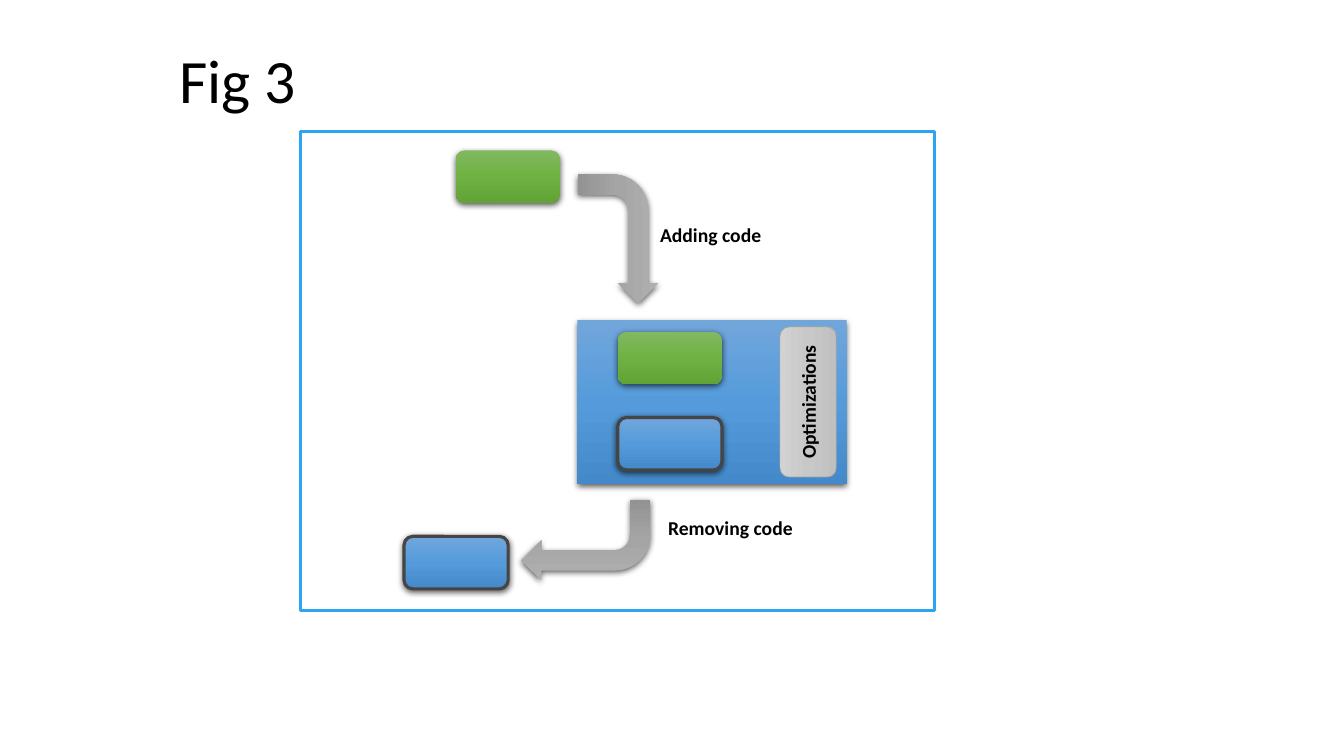
"""Builds the Fig 3 slide: code added to and removed from an optimized block."""
import copy

import lxml.etree
import pptx
import pptx.dml.color
import pptx.enum.shapes
import pptx.enum.text
import pptx.oxml.ns
import pptx.util

COLORS = {
    "white": "FFFFFF", "black": "000000", "frame": "2CA4F2",
    "outline": "454545", "silver line": "A5A5A5",
}
GRADIENTS = {
    "blue": ("71A6DB", "559BDB", "448ACA"),
    "green": ("81B861", "6FB242", "62A336"),
    "gray": ("AFAFAF", "A5A5A5", "939393"),
    "silver": ("D2D2D2", "C8C8C8", "C0C0C0"),
}
SHAPES = pptx.enum.shapes.MSO_SHAPE
ANCHOR = pptx.enum.text.MSO_ANCHOR
ALIGN = pptx.enum.text.PP_ALIGN


def rgb(code):
    return pptx.dml.color.RGBColor.from_string(code)


class Figure:
    def __init__(self, deck, columns=32, rows=18, font="Calibri"):
        self.page = deck.slides.add_slide(deck.slide_layouts[6])
        self.column = deck.slide_width / columns
        self.row = deck.slide_height / rows
        self.font = font

    def place(self, left, top, width, height):
        return (round(left * self.column), round(top * self.row),
                round(width * self.column), round(height * self.row))

    def shape(self, kind, area, fill, line=None, weight=2.25, shadow=True, turn=0):
        shape = self.page.shapes.add_shape(kind, *self.place(*area))
        shape.rotation = turn
        if fill in GRADIENTS:
            self.shade(shape, GRADIENTS[fill])
        else:
            shape.fill.solid()
            shape.fill.fore_color.rgb = rgb(COLORS[fill])
        if line:
            shape.line.color.rgb = rgb(COLORS[line])
            shape.line.width = pptx.util.Pt(weight)
        else:
            shape.line.fill.background()
        shape.shadow.inherit = False
        if shadow:
            self.cast_shadow(shape)
        return shape

    def shade(self, shape, codes):
        shape.fill.gradient()
        shape.fill.gradient_angle = 270
        first = shape._element.spPr.find(".//" + pptx.oxml.ns.qn("a:gs"))
        first.addnext(copy.deepcopy(first))
        for stop, position, code in zip(shape.fill.gradient_stops, (0, 0.5, 1), codes):
            stop.position = position
            stop.color.rgb = rgb(code)

    def cast_shadow(self, shape):
        qn = pptx.oxml.ns.qn
        effects = shape._element.spPr.find(qn("a:effectLst"))
        outer = lxml.etree.SubElement(
            effects, qn("a:outerShdw"), blurRad=str(pptx.util.Pt(4.5)),
            dist=str(pptx.util.Pt(1.5)), dir="5400000", algn="ctr", rotWithShape="0")
        color = lxml.etree.SubElement(outer, qn("a:srgbClr"), val=COLORS["black"])
        lxml.etree.SubElement(color, qn("a:alpha"), val="63000")

    def add_words(self, box, words, size=14, bold=True, align=ALIGN.LEFT):
        para = box.text_frame.paragraphs[0]
        para.alignment = align
        span = para.add_run()
        span.text = words
        span.font.name = self.font
        span.font.size = pptx.util.Pt(size)
        span.font.bold = bold
        span.font.color.rgb = rgb(COLORS["black"])
        return para

    def label(self, area, words):
        box = self.page.shapes.add_textbox(*self.place(*area))
        box.text_frame.word_wrap = False
        box.text_frame.auto_size = pptx.enum.text.MSO_AUTO_SIZE.SHAPE_TO_FIT_TEXT
        self.add_words(box, words)

    def title(self, area, words):
        box = self.page.shapes.add_textbox(*self.place(*area))
        box.text_frame.word_wrap = True
        box.text_frame.vertical_anchor = ANCHOR.MIDDLE
        self.add_words(box, words, size=44, bold=False).line_spacing = 0.9

    def code_block(self, left, top, fill, line=None):
        self.shape(SHAPES.ROUNDED_RECTANGLE, (left, top, 2.48, 1.25), fill, line)

    def bent_arrow(self, left, top, turn):
        self.shape(SHAPES.BENT_ARROW, (left, top, 3.07, 1.92), "gray", turn=turn)

    def tag(self, area, words):
        box = self.shape(SHAPES.ROUNDED_RECTANGLE, area, "silver", "silver line",
                         weight=0.5, shadow=False, turn=270)
        box.text_frame.vertical_anchor = ANCHOR.MIDDLE
        self.add_words(box, words, align=ALIGN.CENTER)


deck = pptx.Presentation()
deck.slide_width = pptx.util.Inches(13.33)
deck.slide_height = pptx.util.Inches(7.5)
figure = Figure(deck)

figure.shape(SHAPES.RECTANGLE, (7.15, 3.14, 15.1, 11.4), "white", "frame", shadow=False)
figure.shape(SHAPES.RECTANGLE, (13.75, 7.63, 6.41, 3.89), "blue")
figure.bent_arrow(13.18, 4.73, turn=90)
figure.bent_arrow(12.41, 11.9, turn=180)
figure.code_block(10.85, 3.58, "green")
figure.code_block(14.71, 7.9, "green")
figure.code_block(14.71, 9.94, "blue", "outline")
figure.code_block(9.62, 12.77, "blue", "outline")
figure.tag((17.45, 8.9, 3.58, 1.34), "Optimizations")
figure.label((15.48, 5.18, 2.9, 0.82), "Adding code")
figure.label((15.67, 12.17, 3.48, 0.82), "Removing code")
figure.title((4.03, 0.26, 27.6, 3.48), "Fig 3")

deck.save("out.pptx")
